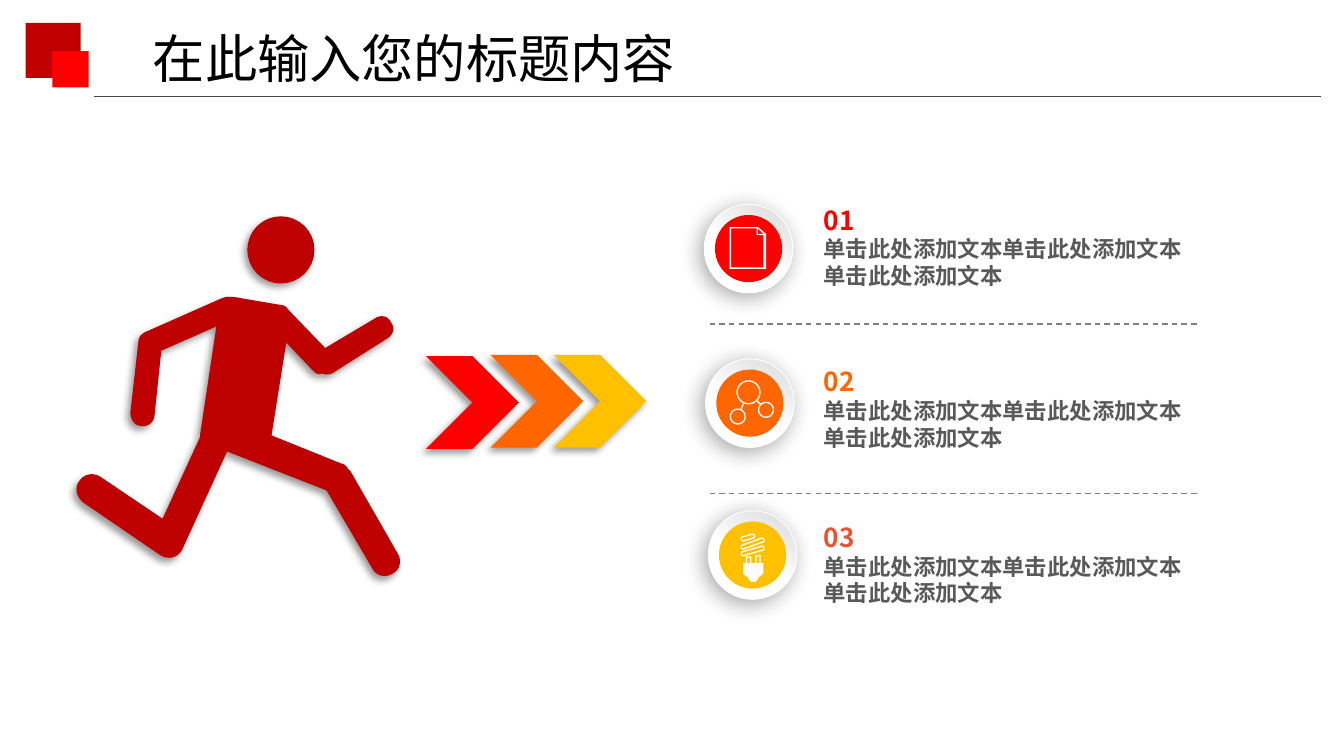
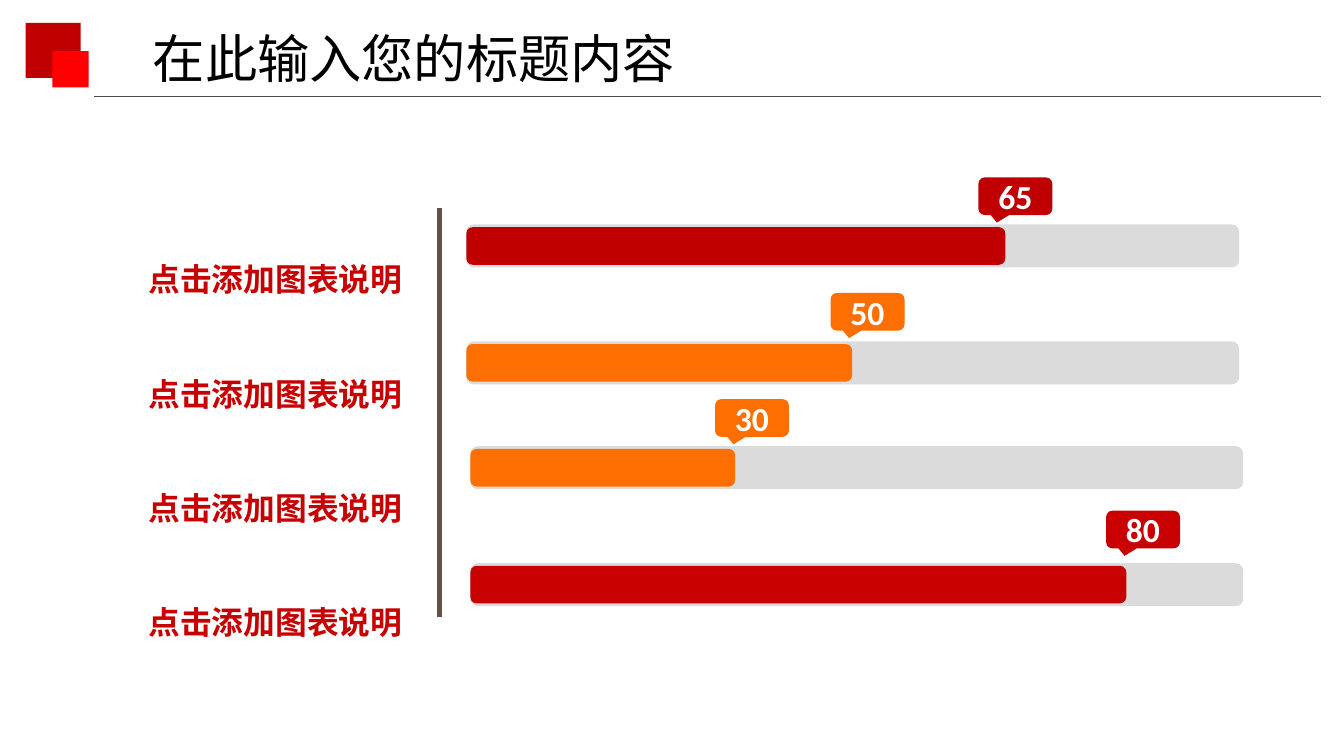
import math

from lxml import etree
from pptx import Presentation
from pptx.dml.color import RGBColor
from pptx.enum import dml, shapes, text
from pptx.oxml.ns import qn
from pptx.util import Inches, Pt

CJK, LATIN = "Noto Sans CJK SC", "Calibri"
WHITE, RED, DARK_RED = "FFFFFF", "FF0000", "C00000"
ORANGE, YELLOW, DEEP_ORANGE, CRIMSON = "FF6600", "FFC000", "FF6E00", "C80000"
SHAPE = shapes.MSO_SHAPE
SOFT, WIDE = (40, 4), (34, 12)  # shadow opacity in percent, blur in points

TITLE = "在此输入您的标题内容"
ITEM_LINES = ["单击此处添加文本单击此处添加文本", "单击此处添加文本"]
# number, number colour, disc colour, text top, badge left, badge top
ITEMS = [
    ("01", RED, RED, 1.47, 5.24, 1.52),
    ("02", ORANGE, ORANGE, 2.67, 5.25, 2.67),
    ("03", "E95332", YELLOW, 3.83, 5.27, 3.8),
]
SEPARATORS = [2.41, 3.67]
CHEVRONS = [(4.12, 2.64, YELLOW), (3.65, 2.64, ORANGE), (3.17, 2.65, RED)]

BAR_LABELS = ["点击添加图表说明"] * 4
# value, colour, track left, track top, bar width, callout left, callout top
BARS = [
    ("65", DARK_RED, 3.47, 1.67, 4.01, 7.28, 1.32),
    ("50", DEEP_ORANGE, 3.47, 2.54, 2.87, 6.18, 2.18),
    ("30", DEEP_ORANGE, 3.5, 3.32, 1.97, 5.32, 2.97),
    ("80", CRIMSON, 3.5, 4.19, 4.88, 8.23, 3.8),
]

# Two numbers are a corner, six are a Bézier curve
RUNNER_BODY = [
    (1.68, 2.21), (1.74, 2.21), (2.09, 2.27),
    (2.11, 2.27, 2.13, 2.28, 2.14, 2.3), (2.15, 2.31), (2.42, 2.59),
    (2.79, 2.37), (2.83, 2.34, 2.89, 2.35, 2.91, 2.4),
    (2.94, 2.44, 2.93, 2.49, 2.88, 2.52), (2.47, 2.78),
    (2.44, 2.79, 2.42, 2.79, 2.4, 2.78), (2.37, 2.79, 2.35, 2.78, 2.33, 2.76),
    (2.13, 2.55), (2.02, 3.24), (2.54, 3.45),
    (2.56, 3.45, 2.58, 3.47, 2.59, 3.49), (2.61, 3.51), (2.96, 4.12),
    (2.99, 4.17, 2.98, 4.24, 2.92, 4.27), (2.87, 4.3, 2.8, 4.29, 2.77, 4.23),
    (2.43, 3.65), (1.69, 3.36), (1.36, 4.08), (1.35, 4.1),
    (1.32, 4.15, 1.25, 4.17, 1.19, 4.13), (0.62, 3.74),
    (0.57, 3.7, 0.55, 3.63, 0.59, 3.58), (0.62, 3.53, 0.69, 3.51, 0.75, 3.55),
    (1.21, 3.86), (1.49, 3.25), (1.49, 3.23), (1.61, 2.43), (1.2, 2.61),
    (1.15, 3.09), (1.15, 3.14, 1.1, 3.18, 1.05, 3.17),
    (1, 3.17, 0.97, 3.12, 0.97, 3.07), (1.03, 2.54),
    (1.03, 2.5, 1.07, 2.47, 1.11, 2.46), (1.13, 2.45), (1.65, 2.22),
]
RUNNER_HEAD = (2.09, 1.86, 0.25)
PAGE_ICON = [
    [(5.43, 1.69), (5.64, 1.69), (5.7, 1.74), (5.7, 2), (5.43, 2)],
    [(5.64, 1.7), (5.68, 1.74), (5.64, 1.74)],
    [(5.44, 1.7), (5.63, 1.7), (5.63, 1.75), (5.68, 1.75), (5.68, 1.99), (5.44, 1.99)],
]
NODES = [(5.57, 2.92, 0.09), (5.49, 3.1, 0.06), (5.7, 3.05, 0.06)]
BULB_TUBES = [(5.53, 4.01, 5.6, 3.99), (5.53, 4.07, 5.67, 4.02), (5.53, 4.12, 5.67, 4.08)]
BULB_STEMS = [(5.55, 4.14), (5.62, 4.13)]
BULB_BASE = [
    (5.53, 4.19), (5.68, 4.19), (5.68, 4.27), (5.64, 4.3), (5.64, 4.31),
    (5.62, 4.33), (5.59, 4.33), (5.57, 4.31), (5.57, 4.3), (5.53, 4.27),
]
STROKE = 0.01


def rgb(value):
    return RGBColor.from_string(value)


def flatten(outline, steps=8):
    """Replace each curve of an outline by short straight segments."""
    points = []
    for seg in outline:
        if len(seg) == 2:
            points.append(seg)
            continue
        ctrl = [points[-1], seg[:2], seg[2:4], seg[4:]]
        for i in range(1, steps + 1):
            t = i / steps
            weights = [math.comb(3, k) * t**k * (1 - t) ** (3 - k) for k in range(4)]
            points.append(tuple(sum(w * c[a] for w, c in zip(weights, ctrl)) for a in (0, 1)))
    return points


def capsule(x1, y1, x2, y2, r, steps=16):
    """Outline of a round-ended bar; equal ends give a circle."""
    turn = math.atan2(y2 - y1, x2 - x1) + math.pi / 2
    ends = [(x1, y1, turn), (x2, y2, turn + math.pi)]
    return [(x + r * math.cos(a + math.pi * i / steps), y + r * math.sin(a + math.pi * i / steps))
            for x, y, a in ends for i in range(steps + 1)]


def ring(x1, y1, x2, y2, r):
    return [capsule(x1, y1, x2, y2, r), capsule(x1, y1, x2, y2, r - STROKE)]


def link(a, b):
    """Thin bar between the rims of two circles."""
    (x1, y1, r1), (x2, y2, r2) = a, b
    d = math.dist((x1, y1), (x2, y2))
    ux, uy = (x2 - x1) / d, (y2 - y1) / d
    h = STROKE / 2
    return [(x1 + ux * s - uy * o, y1 + uy * s + ux * o)
            for s, o in [(r1, h), (d - r2, h), (d - r2, -h), (r1, -h)]]


def network_icon():
    rings = [c for x, y, r in NODES for c in ring(x, y, x, y, r)]
    return rings + [link(NODES[0], n) for n in NODES[1:]]


def bulb_icon():
    contours = [c for tube in BULB_TUBES for c in ring(*tube, 0.02)]
    bottom = BULB_BASE[0][1]
    for x, y in BULB_STEMS:
        for gap in (0, STROKE):
            left, right, top = x + gap, x + 0.04 - gap, y + gap
            contours.append([(left, top), (right, top), (right, bottom), (left, bottom)])
    return contours + [BULB_BASE]


def add_shadow(sp, opacity, blur):
    effects = sp._element.spPr.find(qn("a:effectLst"))
    shadow = etree.SubElement(effects, qn("a:outerShdw"), blurRad=str(Pt(blur)), dist=str(Pt(3)),
                              dir=str(135 * 60000), algn="tr", rotWithShape="0")
    color = etree.SubElement(shadow, qn("a:srgbClr"), val="000000")
    etree.SubElement(color, qn("a:alpha"), val=str(opacity * 1000))


def style(sp, fill, shadow=None, alpha=None):
    sp.fill.solid()
    sp.fill.fore_color.rgb = rgb(fill)
    sp.line.fill.background()
    sp.shadow.inherit = False
    if shadow:
        add_shadow(sp, *shadow)
    if alpha:
        color = sp._element.spPr.find(".//" + qn("a:srgbClr"))
        etree.SubElement(color, qn("a:alpha"), val=str(alpha * 1000))
    return sp


def add_shape(slide, kind, x, y, w, h, fill, shadow=None, alpha=None):
    sp = slide.shapes.add_shape(kind, Inches(x), Inches(y), Inches(w), Inches(h))
    return style(sp, fill, shadow, alpha)


def add_outline(slide, contours, fill, shadow=None):
    builder = None
    for contour in contours:
        start, *rest = [(Inches(x), Inches(y)) for x, y in contour]
        if builder is None:
            builder = slide.shapes.build_freeform(*start, scale=1.0)
        else:
            builder.move_to(*start)
        builder.add_line_segments(rest, close=True)
    return style(builder.convert_to_shape(), fill, shadow)


def add_line(slide, x1, y1, x2, y2, color, width, dash=None):
    line = slide.shapes.add_connector(shapes.MSO_CONNECTOR.STRAIGHT,
                                      Inches(x1), Inches(y1), Inches(x2), Inches(y2))
    line.line.color.rgb = rgb(color)
    line.line.width = Pt(width)
    if dash:
        line.line.dash_style = dash
    etree.SubElement(line._element.spPr, qn("a:effectLst"))


def write(tf, lines, align=None):
    """Fill a frame; each line is text, size, colour, bold, line height, font."""
    tf.text = "\n".join(line[0] for line in lines)
    for p, (_, size, color, bold, height, font) in zip(tf.paragraphs, lines):
        p.alignment = align
        if height:
            p.line_spacing = Pt(height)
        r = p.runs[0]
        r.font.name, r.font.size, r.font.bold = font, Pt(size), bold
        r.font.color.rgb = rgb(color)
        etree.SubElement(r._r.get_or_add_rPr(), qn("a:ea"), typeface=font)


def add_text(slide, x, y, w, h, lines, align=None):
    tf = slide.shapes.add_textbox(Inches(x), Inches(y), Inches(w), Inches(h)).text_frame
    tf.word_wrap = True
    tf.auto_size = text.MSO_AUTO_SIZE.SHAPE_TO_FIT_TEXT
    write(tf, lines, align)


def new_slide(prs):
    """Slide with the corner squares, the rule and the title."""
    slide = prs.slides.add_slide(prs.slide_layouts[6])
    add_shape(slide, SHAPE.RECTANGLE, 0.19, 0.17, 0.41, 0.41, DARK_RED)
    add_shape(slide, SHAPE.RECTANGLE, 0.39, 0.38, 0.27, 0.27, RED)
    add_line(slide, 9.83, 0.72, 0.7, 0.72, "4D4948", 0.75)
    add_text(slide, 1.04, 0.15, 4.24, 0.57, [(TITLE, 28, "000000", False, 33.6, CJK)])
    return slide


def add_badge(slide, x, y, color, icon):
    rim = add_shape(slide, SHAPE.OVAL, x, y, 0.66, 0.66, WHITE, WIDE)
    rim.fill.gradient()
    rim.fill.gradient_angle = 60
    for stop, (position, shade) in zip(rim.fill.gradient_stops, [(0.45, WHITE), (1, "D9D9D9")]):
        stop.position = position
        stop.color.rgb = rgb(shade)
    rim.line.color.rgb = rgb(WHITE)
    rim.line.width = Pt(0.5)
    add_shape(slide, SHAPE.OVAL, x + 0.08, y + 0.08, 0.5, 0.5, color)
    add_outline(slide, icon, WHITE)


def runner_slide(prs):
    slide = new_slide(prs)
    for x, y, color in CHEVRONS:
        add_shape(slide, SHAPE.CHEVRON, x, y, 0.69, 0.69, color, SOFT)
    hx, hy, hr = RUNNER_HEAD
    add_outline(slide, [flatten(RUNNER_BODY), capsule(hx, hy, hx, hy, hr)], "BF0000", SOFT)
    for number, color, _, top, _, _ in ITEMS:
        lines = [(number, 14, color, True, 16.8, CJK)]
        lines += [(line, 12, "595959", True, 14.4, CJK) for line in ITEM_LINES]
        add_text(slide, 6.03, top, 3.04, 0.74, lines)
    for y in SEPARATORS:
        add_line(slide, 5.28, y, 8.91, y, "808080", 0.75, dml.MSO_LINE.DASH)
    icons = [PAGE_ICON, network_icon(), bulb_icon()]
    for (_, _, disc, _, x, y), icon in zip(ITEMS, icons):
        add_badge(slide, x, y, disc, icon)


def bars_slide(prs):
    slide = new_slide(prs)
    for value, color, x, y, width, callout_x, callout_y in BARS:
        add_shape(slide, SHAPE.FLOWCHART_ALTERNATE_PROCESS, x, y, 5.75, 0.32, "000000", alpha=14)
        add_shape(slide, SHAPE.FLOWCHART_ALTERNATE_PROCESS, x, y + 0.02, width, 0.28, color)
        callout = add_shape(slide, SHAPE.ROUNDED_RECTANGULAR_CALLOUT,
                            callout_x, callout_y, 0.55, 0.28, color)
        callout.adjustments[0], callout.adjustments[1] = -0.25, 0.7
        callout.text_frame.vertical_anchor = text.MSO_ANCHOR.MIDDLE
        write(callout.text_frame, [(value, 18, WHITE, True, None, LATIN)], text.PP_ALIGN.CENTER)
    add_line(slide, 3.27, 1.55, 3.27, 4.59, "625348", 2.25)
    labels = [(label, 17, CRIMSON, True, 61.2, CJK) for label in BAR_LABELS]
    add_text(slide, 0.83, 1.32, 2.44, 3.53, labels, text.PP_ALIGN.CENTER)


def main():
    prs = Presentation()
    prs.slide_width = Inches(10)
    prs.slide_height = prs.slide_width * 9 // 16
    runner_slide(prs)
    bars_slide(prs)
    prs.save("out.pptx")


if __name__ == "__main__":
    main()
